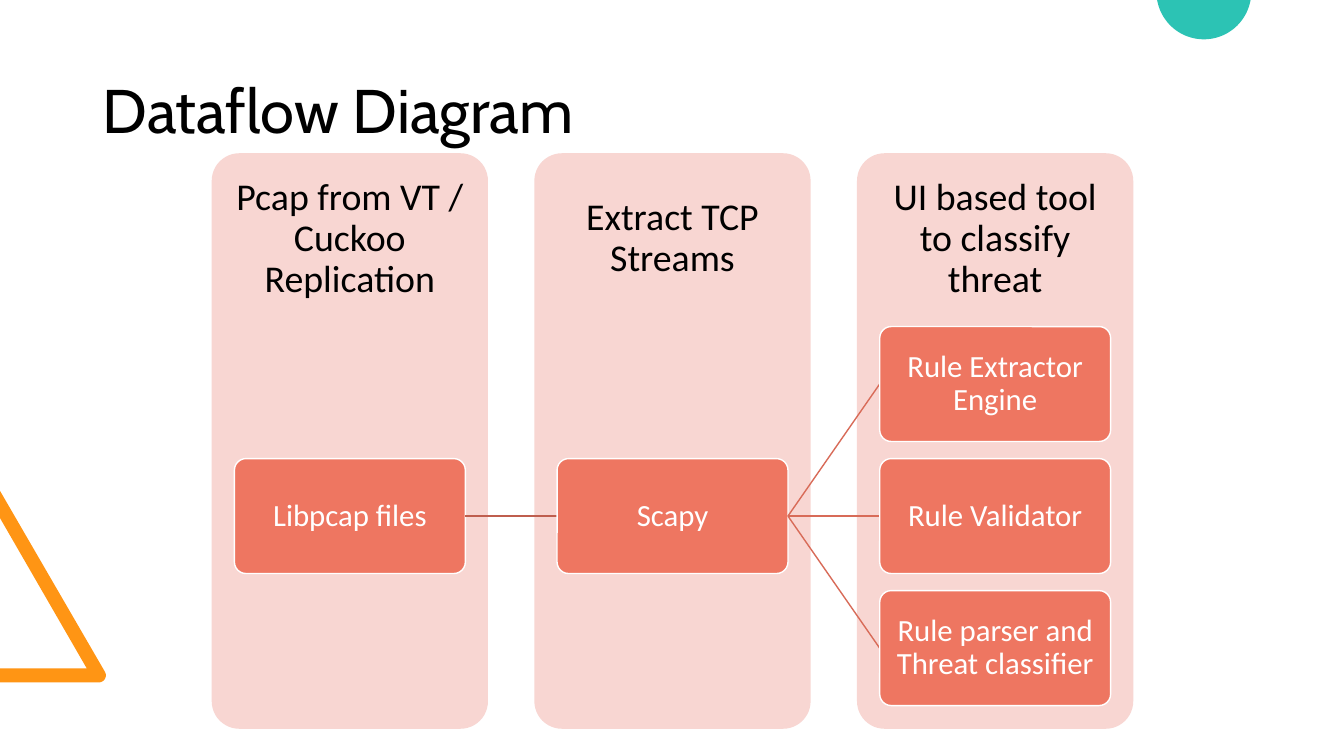
import math
from pptx import Presentation
from pptx.util import Inches, Pt
from pptx.dml.color import RGBColor
from pptx.enum import shapes, text
from pptx.oxml.ns import qn
from lxml import etree

TITLE = "Dataflow Diagram"
STAGES = [
    ("Pcap from VT / Cuckoo Replication", ["Libpcap files"]),
    ("Extract TCP Streams", ["Scapy"]),
    ("UI based tool to classify threat",
     ["Rule Extractor Engine", "Rule Validator", "Rule parser and Threat classifier"]),
]
COLORS = {
    "black": "000000", "white": "FFFFFF", "panel": "F8D6D2", "step": "EE7661",
    "first_link": "BF5E4E", "link": "D86B58", "triangle": "FF9514", "circle": "2CC3B4",
}
PANEL_LEFT, PANEL_TOP, PANEL_W, PANEL_H, PANEL_PITCH = 2.1, 1.52, 2.74, 5.71, 3.2
HEADING_H = 1.7
STEP_W, STEP_H, STEP_PITCH, STEP_MIDDLE = 2.29, 1.14, 1.31, 5.12


def color(name):
    return RGBColor.from_string(COLORS[name])


def write(shape, words, size, font="Calibri", ink="black", align="CENTER",
          margins=(0.1, 0.05, 0.1, 0.05)):
    frame = shape.text_frame
    frame.word_wrap = True
    frame.vertical_anchor = text.MSO_ANCHOR.MIDDLE
    (frame.margin_left, frame.margin_top,
     frame.margin_right, frame.margin_bottom) = map(Inches, margins)
    paragraph = frame.paragraphs[0]
    paragraph.text = words
    paragraph.alignment = text.PP_ALIGN[align]
    paragraph.line_spacing = 0.9
    paragraph.font.size = Pt(size)
    paragraph.font.name = font
    paragraph.font.color.rgb = color(ink)


def paint(shape, fill, outline=None):
    shape.shadow.inherit = False
    shape.fill.solid()
    shape.fill.fore_color.rgb = color(fill)
    if outline:
        shape.line.color.rgb = color(outline)
        shape.line.width = Pt(1)
    else:
        shape.line.fill.background()


def rounded(slide, left, top, width, height, fill, outline=None):
    shape = slide.shapes.add_shape(
        shapes.MSO_SHAPE.ROUNDED_RECTANGLE, *map(Inches, (left, top, width, height)))
    shape.adjustments[0] = 0.1
    paint(shape, fill, outline)
    return shape


def arc(x, y, radius, start, end, steps):
    angles = [math.radians(start + (end - start) * i / steps) for i in range(steps + 1)]
    return [(x + radius * math.cos(a), y + radius * math.sin(a)) for a in angles]


def outline_shape(slide, points, fill):
    corners = [(Inches(x), Inches(max(y, 0))) for x, y in points]
    builder = slide.shapes.build_freeform(*corners[0], scale=1.0)
    builder.add_line_segments(corners[1:], close=True)
    paint(builder.convert_to_shape(), fill)


def connect(slide, start, end, ink):
    link = slide.shapes.add_connector(
        shapes.MSO_CONNECTOR.STRAIGHT, *map(Inches, (*start, *end)))
    link.line.color.rgb = color(ink)
    link.line.width = Pt(1)
    etree.SubElement(link._element.spPr, qn("a:effectLst"))


def main():
    deck = Presentation()
    deck.slide_width, deck.slide_height = Inches(13.33), Inches(7.5)
    slide = deck.slides.add_slide(deck.slide_layouts[6])

    triangle = [(0, 6.77), (0, 6.63), (0.86, 6.63), (0, 5.14), (0, 4.87)]
    outline_shape(slide, triangle + arc(0.98, 6.7, 0.07, -30, 90, 12), "triangle")
    outline_shape(slide, arc(11.94, -0.08, 0.47, 9.8, 170.2, 60), "circle")

    title = slide.shapes.add_textbox(*map(Inches, (0.92, 0.4, 11.5, 1.45)))
    write(title, TITLE, 44, font="Cabin", align="LEFT")

    sources = []
    for column, (heading, steps) in enumerate(STAGES):
        panel_left = PANEL_LEFT + column * PANEL_PITCH
        panel = rounded(slide, panel_left, PANEL_TOP, PANEL_W, PANEL_H, "panel")
        write(panel, heading, 27,
              margins=(0.13, 0.13, 0.13, PANEL_H - HEADING_H + 0.13))

        step_left = panel_left + (PANEL_W - STEP_W) / 2
        middles = [STEP_MIDDLE + (row - (len(steps) - 1) / 2) * STEP_PITCH
                   for row in range(len(steps))]
        for words, middle in zip(steps, middles):
            for source in sources:
                connect(slide, source, (step_left, middle),
                        "first_link" if column == 1 else "link")
            step = rounded(slide, step_left, middle - STEP_H / 2, STEP_W, STEP_H,
                           "step", "white")
            write(step, words, 22, ink="white", margins=(0.02,) * 4)
        sources = [(step_left + STEP_W, middle) for middle in middles]

    deck.save("out.pptx")


if __name__ == "__main__":
    main()
